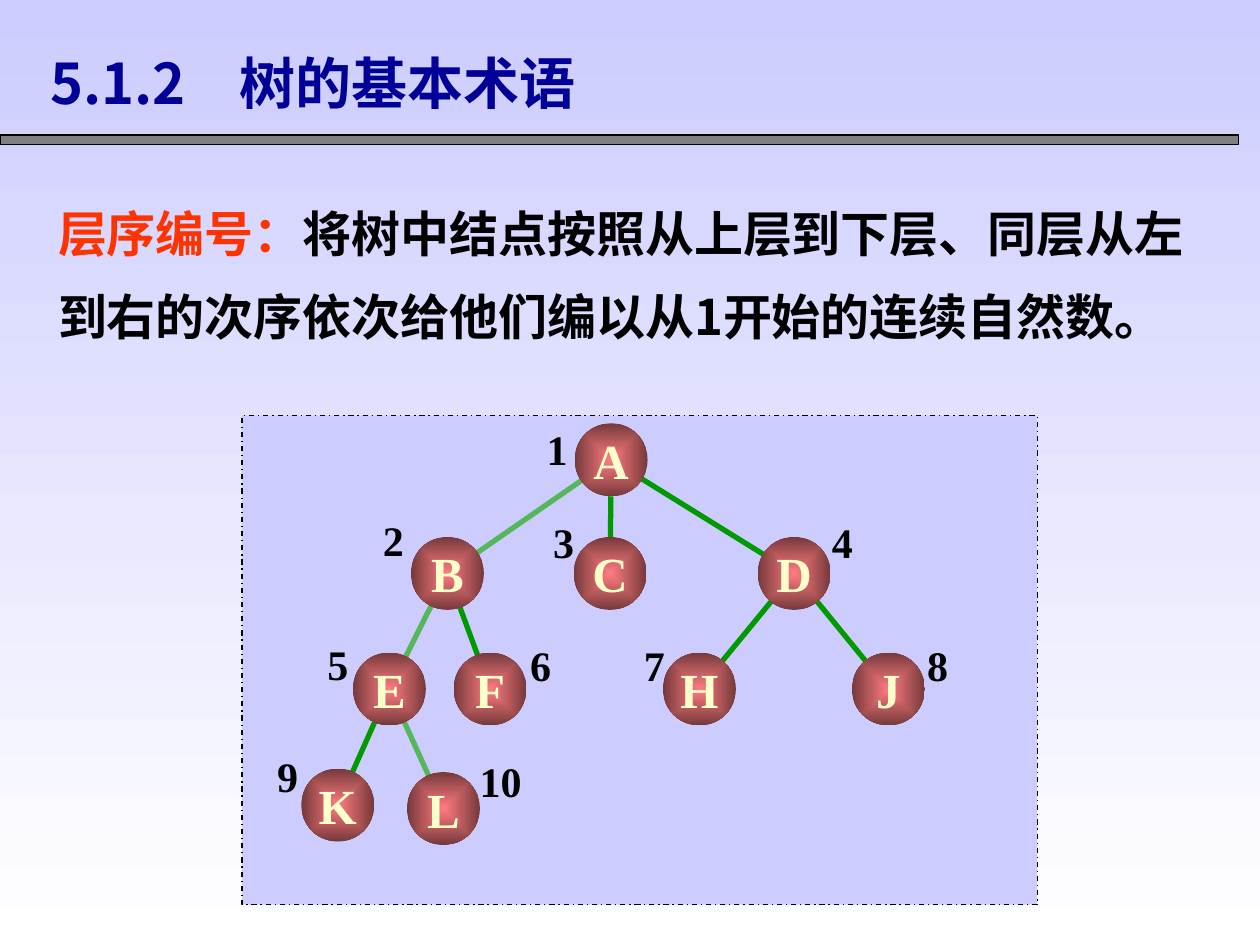
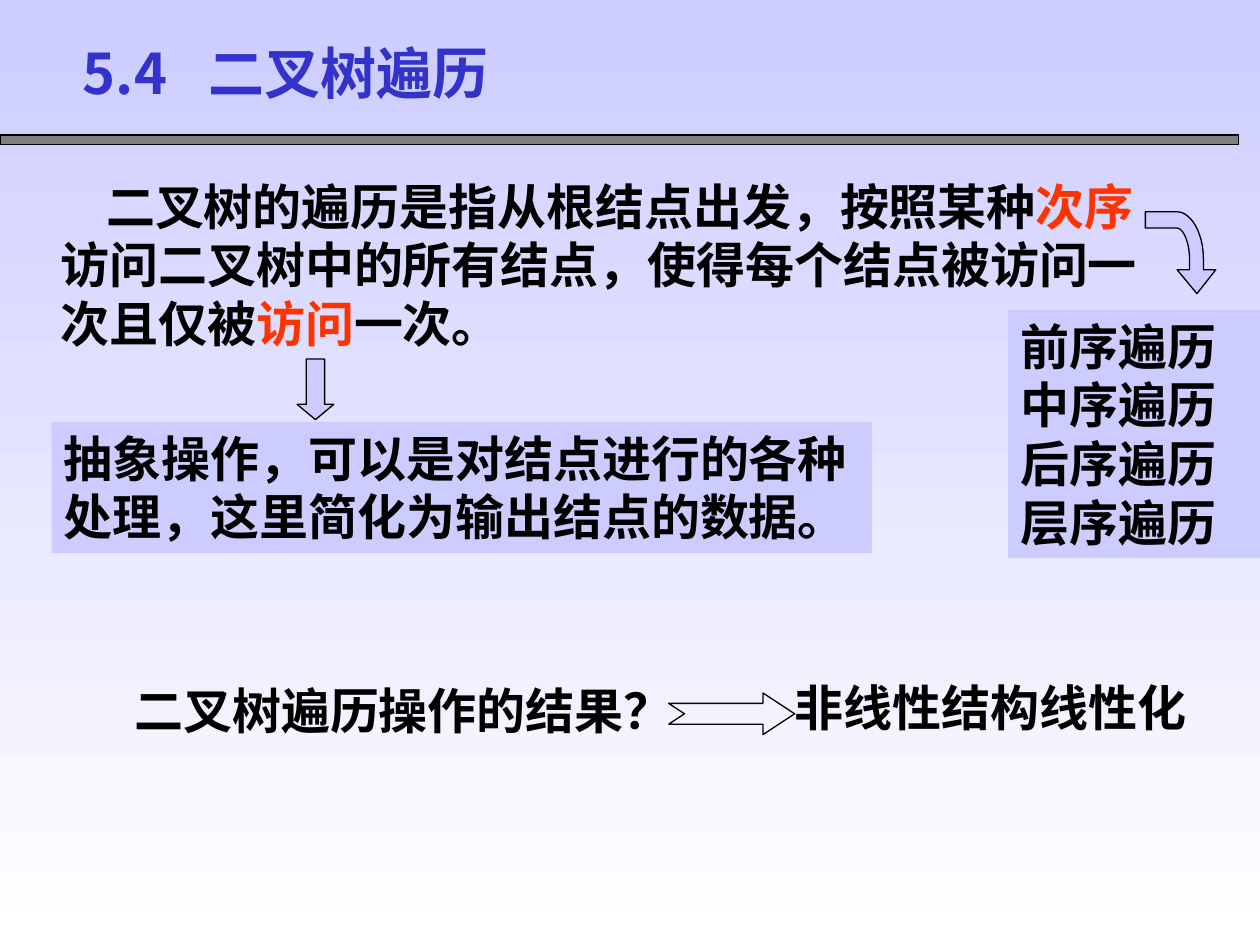
import math

import lxml.etree
import pptx
import pptx.dml.color
import pptx.enum.dml
import pptx.enum.shapes
import pptx.enum.text
import pptx.oxml.ns
import pptx.util

NAVY = pptx.dml.color.RGBColor(0x00, 0x00, 0x99)
BLUE = pptx.dml.color.RGBColor(0x33, 0x33, 0xCC)
LILAC = pptx.dml.color.RGBColor(0xCC, 0xCC, 0xFF)
WHITE = pptx.dml.color.RGBColor(0xFF, 0xFF, 0xFF)
BLACK = pptx.dml.color.RGBColor(0x00, 0x00, 0x00)
GRAY = pptx.dml.color.RGBColor(0x80, 0x80, 0x80)
RED = pptx.dml.color.RGBColor(0xFF, 0x33, 0x00)
CREAM = pptx.dml.color.RGBColor(0xFF, 0xFF, 0xCC)
PINK = pptx.dml.color.RGBColor(0xFF, 0x7C, 0x80)
MAROON = pptx.dml.color.RGBColor(0x75, 0x39, 0x3B)
GREEN = pptx.dml.color.RGBColor(0x00, 0x99, 0x00)
PALE = pptx.dml.color.RGBColor(0x55, 0xB7, 0x5A)

SANS = "Noto Sans CJK SC"
SERIF = "Times New Roman"
LEFT = pptx.enum.text.PP_ALIGN.LEFT
CENTER = pptx.enum.text.PP_ALIGN.CENTER
TOP = pptx.enum.text.MSO_ANCHOR.TOP
MIDDLE = pptx.enum.text.MSO_ANCHOR.MIDDLE
SHAPE = pptx.enum.shapes.MSO_SHAPE
Cm = pptx.util.Cm
Pt = pptx.util.Pt

SIZE = 1.47
NODES = {
    "A": (7.44, 0.89, -1.55, -0.86),
    "B": (4.14, 3.18, -1.55, -1.32),
    "C": (7.42, 3.18, -1.4, -1.27),
    "D": (11.13, 3.18, 0.51, -1.27),
    "E": (2.97, 5.51, -1.5, -1.14),
    "F": (5.0, 5.51, 0.56, -1.12),
    "H": (9.22, 5.51, -1.37, -1.12),
    "J": (13.03, 5.51, 0.53, -1.12),
    "K": (1.93, 7.85, -1.47, -1.24),
    "L": (4.06, 7.92, 0.48, -1.19),
}
EDGES = ["AB", "AC", "AD", "BE", "BF", "DH", "DJ", "EK", "EL"]
SOFT = ["AB", "BE", "EL"]


def add(node, tag, **attrs):
    """Append a drawing element with the given attributes."""
    return lxml.etree.SubElement(node, pptx.oxml.ns.qn(tag), **attrs)


def write(frame, paras, size=28, ink=BLACK, face=SANS, lead=None, inset=0.25,
          align=LEFT, anchor=TOP, wrap=True, indent=0, tab=None):
    """Fill a text frame with paragraphs made of (text, colour) runs."""
    frame.auto_size = pptx.enum.text.MSO_AUTO_SIZE.NONE
    frame.word_wrap = wrap
    frame.vertical_anchor = anchor
    frame.margin_left = frame.margin_right = Cm(inset)
    frame.margin_top = frame.margin_bottom = Cm(0.13)
    for i, runs in enumerate(paras):
        para = frame.add_paragraph() if i else frame.paragraphs[0]
        props = para._p.get_or_add_pPr()
        props.set("marL", "0")
        props.set("indent", str(Cm(indent)))
        add(props, "a:buNone")
        if tab:
            add(add(props, "a:tabLst"), "a:tab", pos=str(Cm(tab)), algn="l")
        para.alignment = align
        para.space_before = Pt(0)
        if lead:
            para.line_spacing = Pt(lead)
        font = para.font
        font.size, font.bold, font.name = Pt(size), True, face
        font.color.rgb = ink
        add(props.find(pptx.oxml.ns.qn("a:defRPr")), "a:ea", typeface=face)
        for text, tint in runs:
            run = para.add_run()
            run.text = text
            if tint:
                run.font.color.rgb = tint


def place(shape, box):
    """Move a shape to a box."""
    shape.left, shape.top, shape.width, shape.height = map(Cm, box)


def paint(shape, fill=None, line=None):
    """Give a shape a plain fill and a thin line, with no shadow."""
    shape.shadow.inherit = False
    if fill is None:
        shape.fill.background()
    else:
        shape.fill.solid()
        shape.fill.fore_color.rgb = fill
    if line is None:
        shape.line.fill.background()
    else:
        shape.line.color.rgb = line
        shape.line.width = Pt(0.75)


def draw(slide, kind, box, fill=None, line=None):
    """Add a painted preset shape."""
    shape = slide.shapes.add_shape(kind, *map(Cm, box))
    paint(shape, fill, line)
    return shape


def label(slide, box, text, **style):
    """Add a text box with one plain paragraph."""
    frame = slide.shapes.add_textbox(*map(Cm, box)).text_frame
    write(frame, [[(text, None)]], **style)


def theme(deck, slide):
    """Set the master's background and move the shared band onto it."""
    master = deck.slide_master
    fill = master.background.fill
    fill.gradient()
    fill.gradient_angle = 270
    for stop, tint in zip(fill.gradient_stops, (LILAC, WHITE)):
        stop.color.rgb = tint
    band = draw(slide, SHAPE.RECTANGLE, (0, 2.72, 24.97, 0.2), GRAY, BLACK)
    master.shapes.element.append(band.element)


def head(slide, box, text, ink, tab):
    """Place and fill the title."""
    title = slide.shapes.title
    place(title, box)
    write(title.text_frame, [[(text, None)]], 32, ink, lead=38.4, tab=tab)
    return title


def shade(title):
    """Give the title's letters a shadow."""
    for run in title.text_frame.paragraphs[0].runs:
        effects = add(run._r.get_or_add_rPr(), "a:effectLst")
        cast = add(effects, "a:outerShdw", dist="35921", dir="2700000")
        add(cast, "a:srgbClr", val=str(GRAY))


def edge(slide, x, y, pair):
    """Join the rims of two nodes with a line."""
    (ax, ay), (bx, by) = (NODES[name][:2] for name in pair)
    span = math.hypot(bx - ax, by - ay)
    dx, dy = (SIZE / 2 * d / span for d in (bx - ax, by - ay))
    ends = (x + ax + dx, y + ay + dy, x + bx - dx, y + by - dy)
    line = slide.shapes.add_connector(
        pptx.enum.shapes.MSO_CONNECTOR.STRAIGHT, *map(Cm, ends))
    line.line.color.rgb = PALE if pair in SOFT else GREEN
    line.line.width = Pt(3)
    add(line.element.spPr, "a:effectLst")


def ball(slide, x, y, name):
    """Draw a glowing node with its letter, centred on a point."""
    box = (x - SIZE / 2, y - SIZE / 2, SIZE, SIZE)
    node = draw(slide, SHAPE.OVAL, box)
    node.fill.gradient()
    for stop, tint in zip(node.fill.gradient_stops, (PINK, MAROON)):
        stop.color.rgb = tint
    grad = node.element.spPr.find(pptx.oxml.ns.qn("a:gradFill"))
    grad.remove(grad.find(pptx.oxml.ns.qn("a:lin")))
    half = dict.fromkeys("ltrb", "50000")
    add(add(grad, "a:path", path="rect"), "a:fillToRect", **half)
    write(node.text_frame, [[(name, None)]], ink=CREAM, face=SERIF, inset=0,
          align=CENTER, anchor=MIDDLE, wrap=False)


def tree(slide, box):
    """Draw the numbered tree on its panel."""
    x, y = box[:2]
    panel = draw(slide, SHAPE.RECTANGLE, box, LILAC, BLACK)
    panel.line.dash_style = pptx.enum.dml.MSO_LINE.DASH_DOT
    for pair in EDGES:
        edge(slide, x, y, pair)
    for rank, (name, (cx, cy, dx, dy)) in enumerate(NODES.items(), 1):
        ball(slide, x + cx, y + cy, name)
        wide = 1.42 if rank > 9 else 1
        spot = (x + cx + dx, y + cy + dy, wide, 1.27)
        label(slide, spot, str(rank), size=24, face=SERIF)


def curve(start, near, far, end, steps=12):
    """Return points along a cubic curve."""
    points = []
    for i in range(steps + 1):
        t = i / steps
        s = 1 - t
        points.append(tuple(
            s**3 * a + 3 * s * s * t * b + 3 * s * t * t * c + t**3 * d
            for a, b, c, d in zip(start, near, far, end)))
    return points


def hook(slide, x, y):
    """Draw the arrow that bends from right to down."""
    outer = curve((0.64, 0), (0.92, 0), (1.17, 0.43), (1.17, 0.94))
    tip = [(1.17, 1.17), (1.42, 1.17), (1.04, 1.65), (0.64, 1.17), (0.89, 1.17)]
    inner = curve((0.89, 0.94), (0.89, 0.61), (0.76, 0.33), (0.64, 0.33))
    points = outer + tip + inner + [(0, 0.33)]
    pen = slide.shapes.build_freeform(Cm(x), Cm(y))
    pen.add_line_segments([(Cm(x + px), Cm(y + py)) for px, py in points])
    paint(pen.convert_to_shape(), LILAC, BLACK)


def orders(slide, box):
    """List the traversal orders under the bent arrow."""
    x, y = box[:2]
    body = slide.placeholders[1]
    place(body, box)
    body.fill.solid()
    body.fill.fore_color.rgb = LILAC
    names = ["前序遍历", "中序遍历", "后序遍历", "层序遍历"]
    write(body.text_frame, [[(name, None)] for name in names], lead=33.5)
    hook(slide, x + 2.77, y - 1.98)


def visit(slide, box):
    """Explain the visit in a filled box below an arrow."""
    x, y = box[:2]
    note = draw(slide, SHAPE.RECTANGLE, box, LILAC)
    text = "抽象操作，可以是对结点进行的各种处理，这里简化为输出结点的数据。"
    write(note.text_frame, [[(text, None)]], lead=33.5)
    spot = (x + 4.95, y - 1.27, 0.74, 1.22)
    arrow = draw(slide, SHAPE.DOWN_ARROW, spot, LILAC, BLACK)
    arrow.adjustments[1] = 0.415


def result(slide, box):
    """Put the question, the notched arrow and the answer in a row."""
    x, y, _, high = box
    label(slide, (x, y + 0.05, 12.7, high), "二叉树遍历操作的结果？", lead=33.5)
    spot = (x + 11.02, y + 0.43, 2.54, 0.84)
    arrow = draw(slide, SHAPE.NOTCHED_RIGHT_ARROW, spot, line=BLACK)
    arrow.adjustments[1] = 0.76
    label(slide, (x + 13.56, y, 9.32, high), "非线性结构线性化", lead=33.5, inset=0)


def terms(slide):
    """Build the slide on level-order numbering."""
    head(slide, (0.76, 0.84, 12.85, 1.63), "5.1.2\t树的基本术语", NAVY, 3.54)
    body = slide.placeholders[1]
    place(body, (1.17, 3.51, 23.14, 3.58))
    write(body.text_frame, [[
        ("层序编号：", RED),
        ("将树中结点按照从上层到下层、同层从左到右的次序依次给他们编以从1开始的连续自然数。", None),
    ]], lead=47, inset=0)
    tree(slide, (4.88, 8.38, 16.03, 9.86))


def walk(slide):
    """Build the slide on binary tree traversal."""
    shade(head(slide, (1.42, 0.64, 15.04, 1.63), "5.4\t二叉树遍历", BLUE, 2.25))
    frame = slide.shapes.add_textbox(*map(Cm, (0.97, 3.43, 22.48, 3.81))).text_frame
    write(frame, [[
        ("二叉树的遍历是指从根结点出发，按照某种", None),
        ("次序", RED),
        ("访问二叉树中的所有结点，使得每个结点被访问一次且仅被", None),
        ("访问", RED),
        ("一次。", None),
    ]], lead=33.5, indent=0.92)
    result(slide, (2.46, 13.54, 22.88, 1.45))
    visit(slide, (1.04, 8.51, 16.54, 2.64))
    orders(slide, (20.32, 6.25, 5.08, 5.0))


def main():
    """Build and save the deck."""
    deck = pptx.Presentation()
    deck.slide_width, deck.slide_height = Cm(25.4), Cm(19.05)
    first, second = (deck.slides.add_slide(deck.slide_layouts[1]) for _ in range(2))
    theme(deck, first)
    terms(first)
    walk(second)
    deck.save("out.pptx")


if __name__ == "__main__":
    main()
